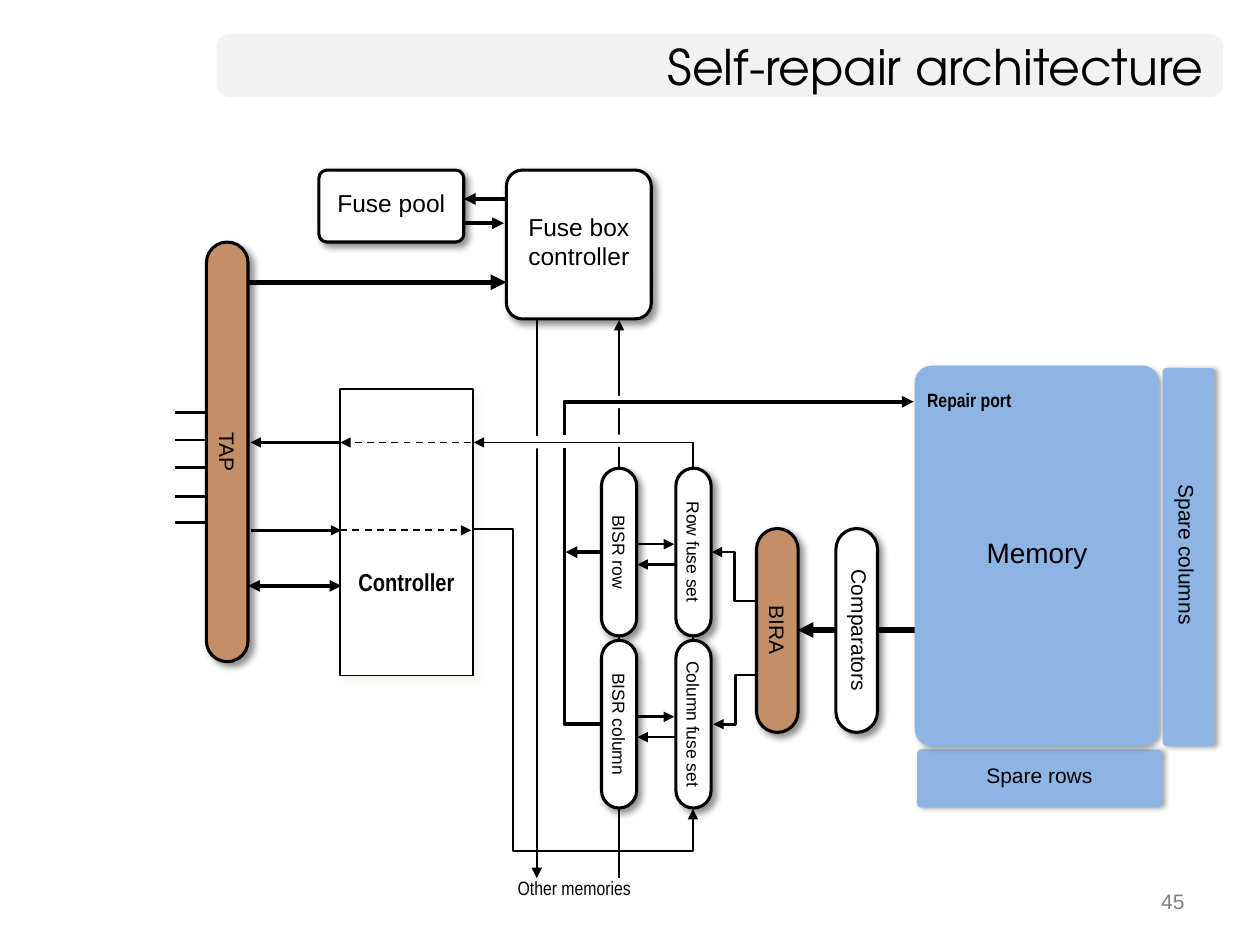
from dataclasses import dataclass
from typing import Optional

import pptx
import pptx.dml.color
import pptx.enum.dml
import pptx.enum.shapes
import pptx.enum.text
import pptx.oxml
import pptx.oxml.ns
import pptx.util

Cm, Pt = pptx.util.Cm, pptx.util.Pt
Shape = pptx.enum.shapes.MSO_SHAPE
Align = pptx.enum.text.PP_ALIGN
Anchor = pptx.enum.text.MSO_ANCHOR

COLORS = {"black": "000000", "white": "FFFFFF", "banner": "F2F2F2", "page": "808080",
          "memory": "8EB4E3", "logic": "C48E66", "haze": "EEECE1"}
DRAWING_NS = pptx.oxml.ns.nsdecls("a")


@dataclass
class Shadow:
    opacity: int
    blur: float
    distance: float
    angle: int = 45
    color: str = "black"


SOFT = Shadow(43, 4, 3)


@dataclass
class Block:
    """A filled box; positions and sizes are in centimetres."""
    left: float
    top: float
    width: float
    height: float
    fill: str = "white"
    label: str = ""
    size: float = 14
    corner: Optional[float] = 0.11
    outline: Optional[float] = 1.75
    shadow: Optional[Shadow] = None
    rotation: int = 0
    bottom_inset: float = 0.25


@dataclass
class Label:
    text: str
    left: float
    top: float
    width: float
    height: float
    size: float
    font: str = "Arial Narrow"
    color: str = "black"
    align: Align = Align.CENTER
    bold: bool = False
    rotation: int = 0
    wrap: bool = True
    spacing: Optional[float] = None
    anchor: Anchor = Anchor.TOP


@dataclass
class Wire:
    points: list[tuple[float, float]]
    weight: float = 1.5
    arrow: bool = True
    both_ends: bool = False
    dashed: bool = False


def rgb(name: str) -> pptx.dml.color.RGBColor:
    return pptx.dml.color.RGBColor.from_string(COLORS[name])


def write(frame, text: str, size: float, font: str, color: str, align: Align, bold=False) -> None:
    paragraph = frame.paragraphs[0]
    paragraph.alignment = align
    run = paragraph.add_run()
    run.text = text
    run.font.size, run.font.name, run.font.bold = Pt(size), font, bold
    run.font.color.rgb = rgb(color)


def cast_shadow(shape, shadow: Shadow) -> None:
    effects = shape._element.spPr.find(pptx.oxml.ns.qn("a:effectLst"))
    effects.append(pptx.oxml.parse_xml(
        f'<a:outerShdw {DRAWING_NS} blurRad="{Pt(shadow.blur)}" dist="{Pt(shadow.distance)}" '
        f'dir="{shadow.angle * 60000}" algn="ctr" rotWithShape="0">'
        f'<a:srgbClr val="{COLORS[shadow.color]}"><a:alpha val="{shadow.opacity * 1000}"/>'
        '</a:srgbClr></a:outerShdw>'))


def draw_block(slide, block: Block) -> None:
    kind = Shape.RECTANGLE if block.corner is None else Shape.ROUNDED_RECTANGLE
    shape = slide.shapes.add_shape(
        kind, Cm(block.left), Cm(block.top), Cm(block.width), Cm(block.height))
    if block.corner is not None:
        shape.adjustments[0] = block.corner
    shape.rotation = block.rotation
    shape.fill.solid()
    shape.fill.fore_color.rgb = rgb(block.fill)
    if block.outline:
        shape.line.color.rgb = rgb("black")
        shape.line.width = Pt(block.outline)
    else:
        shape.line.fill.background()
    shape.shadow.inherit = False
    if block.shadow:
        cast_shadow(shape, block.shadow)
    if block.label:
        shape.text_frame.word_wrap = True
        shape.text_frame.vertical_anchor = Anchor.MIDDLE
        shape.text_frame.margin_bottom = Cm(block.bottom_inset)
        write(shape.text_frame, block.label, block.size, "Arial", "black", Align.CENTER)


def pill(label: str, x: float, y: float, length: float, thickness: float, size: float,
         fill: str = "white", bottom_inset: float = 0.13) -> Block:
    """Upright capsule centred on (x, y), made as a block turned a quarter."""
    return Block(x - length / 2, y - thickness / 2, length, thickness, fill, label, size,
                 0.5, shadow=SOFT, rotation=90, bottom_inset=bottom_inset)


def draw_label(slide, label: Label) -> None:
    box = slide.shapes.add_textbox(
        Cm(label.left), Cm(label.top), Cm(label.width), Cm(label.height))
    box.rotation = label.rotation
    box.text_frame.word_wrap = label.wrap
    box.text_frame.vertical_anchor = label.anchor
    write(box.text_frame, label.text, label.size, label.font, label.color, label.align, label.bold)
    if label.spacing:
        box.text_frame.paragraphs[0].line_spacing = label.spacing


def draw_wire(slide, wire: Wire) -> None:
    """Straight wires become connectors, bent ones open freeforms."""
    points = [(Cm(x), Cm(y)) for x, y in wire.points]
    if len(points) == 2:
        shape = slide.shapes.add_connector(
            pptx.enum.shapes.MSO_CONNECTOR.STRAIGHT, *points[0], *points[1])
        shape._element.spPr.append(pptx.oxml.parse_xml(f"<a:effectLst {DRAWING_NS}/>"))
    else:
        builder = slide.shapes.build_freeform(*points[0], scale=1.0)
        builder.add_line_segments(points[1:], close=False)
        shape = builder.convert_to_shape()
        shape.fill.background()
        shape.shadow.inherit = False
    shape.line.color.rgb = rgb("black")
    shape.line.width = Pt(wire.weight)
    if wire.dashed:
        shape.line.dash_style = pptx.enum.dml.MSO_LINE.DASH
    ends = ["headEnd"] * wire.both_ends + ["tailEnd"] * wire.arrow
    for end in ends:
        shape.line._get_or_add_ln().append(
            pptx.oxml.parse_xml(f'<a:{end} {DRAWING_NS} type="triangle"/>'))


BANNER = Block(4.37, 0.69, 20.29, 1.27, "banner", corner=0.208, outline=None)
CONTROLLER = Block(6.86, 7.85, 2.67, 5.77, corner=None, outline=1,
                   shadow=Shadow(75, 5, 3, color="haze"))
TAP_PINS = [Wire([(3.53, y), (4.39, y)], arrow=False) for y in (8.31, 8.87, 9.42, 10.01, 10.54)]
BISR_X, FUSE_SET_X, ROW_Y, COLUMN_Y = 12.48, 13.98, 11.13, 14.6
FUSE_EXCHANGE = [wire for y in (10.97, 14.45) for wire in (
    Wire([(12.67, y), (13.59, y)]), Wire([(13.74, y + 0.41), (12.85, y + 0.41)]))]
WIRES = TAP_PINS + FUSE_EXCHANGE + [
    Wire([(6.88, 11.81), (5, 11.81)], 2.25, both_ends=True),
    Wire([(6.86, 10.69), (9.5, 10.69)], 1, dashed=True),
    Wire([(9.5, 8.92), (6.86, 8.92)], 1, dashed=True),
    Wire([(6.86, 8.92), (5.05, 8.92)]),
    Wire([(5.05, 10.69), (6.88, 10.69)]),
    Wire([(15.24, 12.12), (14.81, 12.12), (14.81, ROW_Y), (14.35, ROW_Y)]),
    Wire([(15.27, 13.61), (14.83, 13.61), (14.83, COLUMN_Y), (14.38, COLUMN_Y)]),
    Wire([(19.23, 12.7), (16.08, 12.7)], 3),
    Wire([(12.24, COLUMN_Y), (11.38, COLUMN_Y), (11.38, 9.04)], 2.25, arrow=False),
    Wire([(12.22, ROW_Y), (11.4, ROW_Y)], 2.25),
    Wire([(10.29, 4.01), (9.35, 4.01)], 2.25),
    Wire([(9.22, 4.5), (10.16, 4.5)], 2.25),
    Wire([(4.62, 5.69), (10.21, 5.69)], 3),
    Wire([(BISR_X, 17.7), (BISR_X, 6.45)], 1),
    Wire([(10.82, 6.15), (10.82, 17.7)], 1),
    Wire([(9.55, 10.67), (10.34, 10.67), (10.34, 17.15), (13.97, 17.15), (13.97, 16.31)], 1),
]
BLOCKS = [
    Block(18.49, 15.11, 4.93, 1.17, "memory", "Spare rows", 12, 0.07, None, Shadow(35, 3.1, 1.8, 18)),
    Block(18.44, 7.37, 4.93, 7.67, "memory", "Memory", 16, 0.07, None, Shadow(35, 3.1, 1.8, 48)),
    Block(23.44, 7.42, 1.04, 7.62, "memory", "", 12, 0.07, None, Shadow(35, 3.1, 1.8, 26)),
    Block(10.21, 3.43, 2.92, 3, label="Fuse box controller", shadow=SOFT),
    Block(6.43, 3.43, 2.92, 1.45, label="Fuse pool", shadow=SOFT),
    pill("Comparators", 17.27, 12.71, 4.11, 0.84, 12, bottom_inset=0.25),
    pill("BISR row", BISR_X, ROW_Y, 3.38, 0.71, 10),
    pill("BISR column", BISR_X, COLUMN_Y, 3.38, 0.71, 10),
    pill("BIRA", 15.67, 12.71, 4.11, 0.84, 12, "logic"),
    pill("TAP", 4.58, 9.11, 8.46, 0.84, 12, "logic"),
]
CROSSING_GAPS = [Block(x, y, 0.33, 0.25, corner=None, outline=None)
                 for x, y in ((12.32, 7.98), (12.34, 8.76), (10.67, 8.79))]
CROSSING_WIRES = [
    Wire([(11.38, 8.76), (11.38, 8.1), (18.42, 8.1)], 2.25),
    Wire([(13.97, 13.61), (13.97, 8.92), (9.55, 8.92)], 1),
]
FUSE_SETS = [pill("Row fuse set", FUSE_SET_X, ROW_Y, 3.38, 0.71, 10),
             pill("Column fuse set", FUSE_SET_X, COLUMN_Y, 3.38, 0.71, 10)]
LABELS = [
    Label("Self-repair architecture", 4.37, 0.69, 20.14, 1.27, 28, "TeX Gyre Adventor",
          align=Align.RIGHT, anchor=Anchor.MIDDLE),
    Label("45", 18.21, 17.78, 5.92, 0.89, 12, "Arial", "page", Align.RIGHT),
    Label("Controller", 6.86, 11.38, 2.67, 0.79, 14, bold=True, spacing=0.89),
    Label("Other memories", 10.08, 17.6, 3, 0.69, 11, spacing=0.9),
    Label("Spare columns", 22.25, 10.8, 3.35, 0.76, 12, "Arial", rotation=90, wrap=False),
    Label("Repair port", 18.44, 7.7, 2.54, 0.74, 11, align=Align.LEFT, bold=True),
]
DRAWERS = {Block: draw_block, Wire: draw_wire, Label: draw_label}


def main() -> None:
    deck = pptx.Presentation()
    deck.slide_width, deck.slide_height = Cm(25.4), Cm(19.05)
    slide = deck.slides.add_slide(deck.slide_layouts[6])
    for part in [BANNER, CONTROLLER, *WIRES, *BLOCKS, *CROSSING_GAPS, *CROSSING_WIRES,
                 *FUSE_SETS, *LABELS]:
        DRAWERS[type(part)](slide, part)
    deck.save("out.pptx")


if __name__ == "__main__":
    main()
